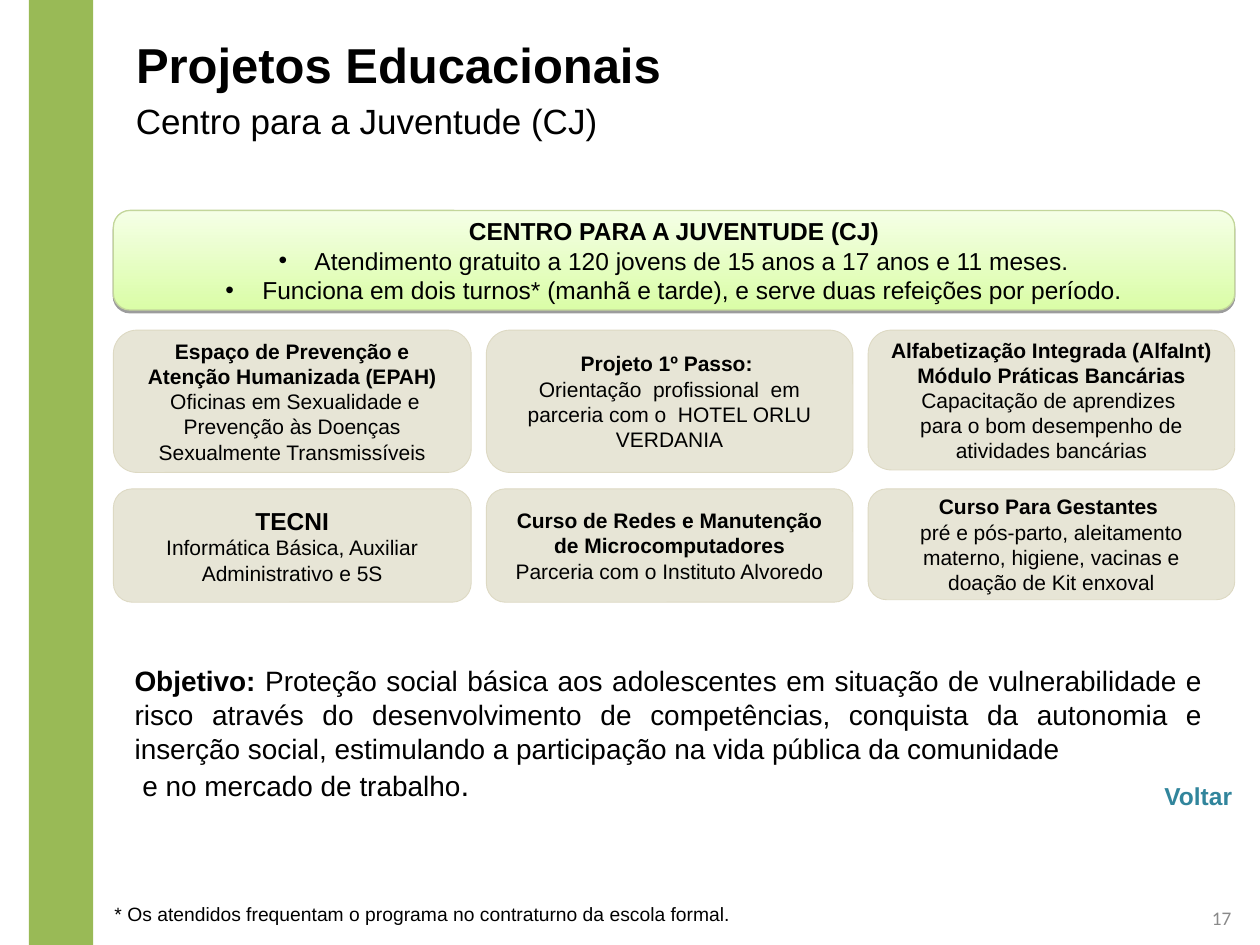
import dataclasses
import itertools

import pptx
import pptx.dml.color
import pptx.enum.shapes
import pptx.enum.text
import pptx.oxml
import pptx.oxml.ns
import pptx.util
from lxml import etree

ALIGN = pptx.enum.text.PP_ALIGN
ANCHOR = pptx.enum.text.MSO_ANCHOR
SHAPE = pptx.enum.shapes.MSO_SHAPE
Inches, Pt = pptx.util.Inches, pptx.util.Pt


@dataclasses.dataclass(frozen=True)
class Theme:
    font: str = "Arial"
    number_font: str = "Calibri"
    text: str = "000000"
    bar: str = "99BA56"
    card: str = "DDD9C3"
    card_alpha: int = 68
    banner_low: str = "DAFDA7"
    banner_high: str = "F5FFE6"
    banner_line: str = "C3D69B"
    back: str = "31859C"
    number: str = "898989"
    title_size: int = 28
    subtitle_size: int = 20
    large: int = 18
    body: int = 16
    heading: int = 14
    card_text: int = 12
    small: int = 11


THEME = Theme()


@dataclasses.dataclass(frozen=True)
class Box:
    left: float
    top: float
    width: float
    height: float

    def emu(self) -> list[int]:
        return [Inches(v) for v in dataclasses.astuple(self)]


@dataclasses.dataclass(frozen=True)
class Run:
    text: str
    bold: bool = False
    size: int | None = None


@dataclasses.dataclass(frozen=True)
class Para:
    runs: tuple[Run, ...]
    bullet: bool = False


@dataclasses.dataclass(frozen=True)
class Card:
    row: int
    col: int
    heads: tuple[str, ...]
    lines: tuple[str, ...]
    head_size: int = THEME.card_text


# Card grid: column widths and row heights with their gaps
COL_WIDTHS, COL_GAP = (2.84, 2.91, 2.91), 0.12
ROW_HEIGHTS, ROW_GAP = (1.13, 0.9), 0.13
GRID_LEFT, GRID_TOP, GRID_WIDTH = 0.9, 2.62, 8.9

CARDS = (
    Card(0, 0, ("Espaço de Prevenção e Atenção Humanizada (EPAH)",),
         (" Oficinas em Sexualidade e Prevenção às Doenças Sexualmente Transmissíveis",)),
    Card(0, 1, ("Projeto 1º Passo: ",),
         ("Orientação  profissional  em parceria com o  HOTEL ORLU VERDANIA",)),
    Card(0, 2, ("Alfabetização Integrada (AlfaInt)", "Módulo Práticas Bancárias"),
         ("Capacitação de aprendizes ", "para o bom desempenho de atividades bancárias")),
    Card(1, 0, ("TECNI",), ("Informática Básica, Auxiliar Administrativo e 5S",),
         THEME.heading),
    Card(1, 1, ("Curso de Redes e Manutenção de Microcomputadores",),
         ("Parceria com o Instituto Alvoredo",)),
    Card(1, 2, ("Curso Para Gestantes ",),
         ("pré e pós-parto, aleitamento materno, higiene, vacinas e doação de Kit enxoval",)),
)


def rgb(value: str) -> pptx.dml.color.RGBColor:
    return pptx.dml.color.RGBColor.from_string(value)


def para(text: str, bold: bool = False, size: int | None = None, bullet: bool = False) -> Para:
    return Para((Run(text, bold, size),), bullet)


def add_bullet(p, indent: float = 0.24) -> None:
    pPr = p._p.get_or_add_pPr()
    pPr.set("marL", str(Inches(indent)))
    pPr.set("indent", str(-Inches(indent)))
    font = etree.SubElement(pPr, pptx.oxml.ns.qn("a:buFont"))
    font.set("typeface", THEME.font)
    etree.SubElement(pPr, pptx.oxml.ns.qn("a:buChar")).set("char", "•")


def write(sp, paras, *, size, align=ALIGN.LEFT, anchor=ANCHOR.TOP,
          color=THEME.text, font=THEME.font) -> None:
    tf = sp.text_frame
    tf.word_wrap = True
    tf.auto_size = pptx.enum.text.MSO_AUTO_SIZE.NONE
    tf.vertical_anchor = anchor
    tf.margin_left = tf.margin_right = Inches(0.1)
    tf.margin_top = tf.margin_bottom = Inches(0.05)
    for i, item in enumerate(paras):
        p = tf.paragraphs[0] if i == 0 else tf.add_paragraph()
        p.alignment = align
        if item.bullet:
            add_bullet(p)
        for run in item.runs:
            r = p.add_run()
            r.text = run.text
            r.font.name, r.font.bold = font, run.bold
            r.font.size = Pt(run.size or size)
            r.font.color.rgb = rgb(color)


def add_text(s, box: Box, paras, **style) -> None:
    write(s.shapes.add_textbox(*box.emu()), paras, **style)


def add_panel(s, box: Box, kind, fill: str | None, line: str | None = None, weight: float = 0.5):
    sp = s.shapes.add_shape(kind, *box.emu())
    sp.shadow.inherit = False
    if fill:
        sp.fill.solid()
        sp.fill.fore_color.rgb = rgb(fill)
    if line:
        sp.line.color.rgb = rgb(line)
        sp.line.width = Pt(weight)
    else:
        sp.line.fill.background()
    return sp


def add_banner(s, box: Box, paras) -> None:
    sp = add_panel(s, box, SHAPE.ROUNDED_RECTANGLE, None, THEME.banner_line, 0.75)
    sp.fill.gradient()
    sp.fill.gradient_angle = 90
    for stop, color in zip(sp.fill.gradient_stops, (THEME.banner_low, THEME.banner_high)):
        stop.color.rgb = rgb(color)
    effects = sp._element.spPr.find(pptx.oxml.ns.qn("a:effectLst"))
    effects.append(pptx.oxml.parse_xml(
        f'<a:outerShdw {pptx.oxml.ns.nsdecls("a")} blurRad="0" dist="{Pt(1.6)}" dir="5400000">'
        '<a:srgbClr val="000000"><a:alpha val="38000"/></a:srgbClr></a:outerShdw>'))
    write(sp, paras, size=THEME.heading, align=ALIGN.CENTER, anchor=ANCHOR.MIDDLE)


def add_card(s, card: Card) -> None:
    lefts = list(itertools.accumulate((w + COL_GAP for w in COL_WIDTHS), initial=GRID_LEFT))
    tops = list(itertools.accumulate((h + ROW_GAP for h in ROW_HEIGHTS), initial=GRID_TOP))
    trim = 0.02 if card.col == 2 else 0  # the last column is slightly shorter
    box = Box(lefts[card.col], tops[card.row], COL_WIDTHS[card.col], ROW_HEIGHTS[card.row] - trim)
    sp = add_panel(s, box, SHAPE.ROUNDED_RECTANGLE, THEME.card, THEME.card)
    color = sp._element.spPr.find(".//" + pptx.oxml.ns.qn("a:srgbClr"))
    alpha = etree.SubElement(color, pptx.oxml.ns.qn("a:alpha"))
    alpha.set("val", str(THEME.card_alpha * 1000))
    paras = [para(t, True, card.head_size) for t in card.heads] + [para(t) for t in card.lines]
    write(sp, paras, size=THEME.card_text, align=ALIGN.CENTER, anchor=ANCHOR.MIDDLE)


def main() -> None:
    prs = pptx.Presentation()
    prs.slide_width, prs.slide_height = Inches(10), Inches(7.5)
    s = prs.slides.add_slide(prs.slide_layouts[5])

    # Side bar, title and subtitle
    add_panel(s, Box(0.23, 0, 0.51, 7.5), SHAPE.RECTANGLE, THEME.bar)
    title = s.shapes.title
    title.left, title.top, title.width, title.height = Box(0.98, 0.13, 5.14, 0.76).emu()
    write(title, [para("Projetos Educacionais", True)],
          size=THEME.title_size, anchor=ANCHOR.MIDDLE)
    add_text(s, Box(0.98, 0.76, 5.98, 0.39), [para("Centro para a Juventude (CJ)")],
             size=THEME.subtitle_size, anchor=ANCHOR.MIDDLE)

    # Banner and project cards
    add_banner(s, Box(GRID_LEFT, 1.67, GRID_WIDTH, 0.79), [
        para("CENTRO PARA A JUVENTUDE (CJ)", True),
        para(" Atendimento gratuito a 120 jovens de 15 anos a 17 anos e 11 meses.", bullet=True),
        para(" Funciona em dois turnos* (manhã e tarde), e serve duas refeições por período.",
             bullet=True)])
    for card in CARDS:
        add_card(s, card)

    # Objective
    add_text(s, Box(0.97, 5.22, 8.67, 1.2), [
        Para((Run("Objetivo: ", True),
              Run("Proteção social básica aos adolescentes em situação de vulnerabilidade e risco "
                  "através do desenvolvimento de competências, conquista da autonomia e inserção "
                  "social, estimulando a participação na vida pública da comunidade"))),
        Para((Run(" e no mercado de trabalho"), Run(".", size=THEME.large)))],
        size=THEME.body, align=ALIGN.JUSTIFY)

    # Back label, footnote and page number
    add_text(s, Box(9.02, 6.15, 0.98, 0.34), [para("Voltar", True)],
             size=THEME.heading, align=ALIGN.CENTER, color=THEME.back)
    add_text(s, Box(0.81, 7.11, 7.32, 0.29),
             [para("* Os atendidos frequentam o programa no contraturno da escola formal.")],
             size=THEME.small)
    add_text(s, Box(9.39, 7.14, 0.61, 0.27), [para("17")], size=THEME.small,
             align=ALIGN.CENTER, color=THEME.number, font=THEME.number_font)
    prs.save("out.pptx")


if __name__ == "__main__":
    main()
